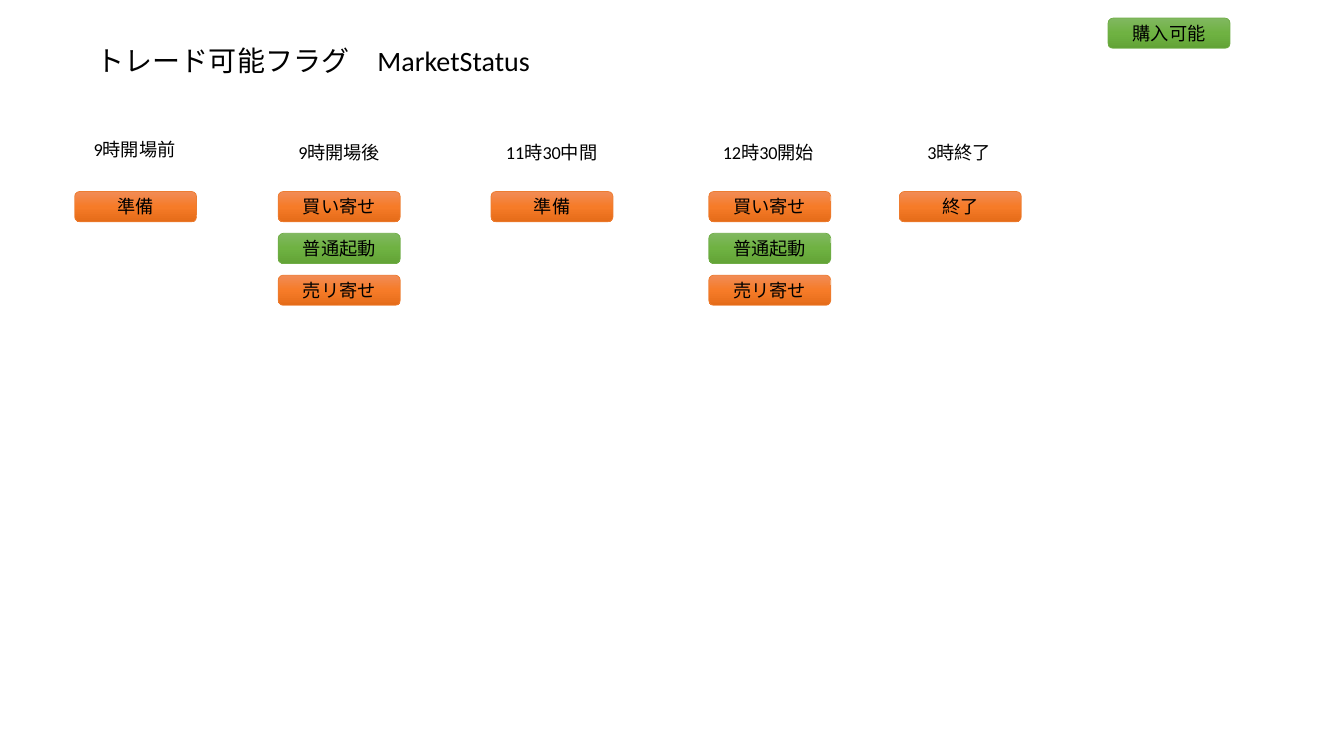
from dataclasses import dataclass

from lxml import etree
from pptx import Presentation, util as u
from pptx.dml.color import RGBColor
from pptx.enum import shapes, text
from pptx.oxml import ns


@dataclass(frozen=True)
class Tone:
    line: str
    stops: tuple


@dataclass(frozen=True)
class Theme:
    font: str = "Calibri"
    ink: str = "000000"
    title_size: int = 20
    body_size: int = 13
    blocked: Tone = Tone("ED7D31", ("F18C57", "F67B28", "E56C19"))
    tradable: Tone = Tone("70AD47", ("81B861", "6FB242", "62A336"))


THEME = Theme()
STATE_WIDTH, STATE_HEIGHT = 1.21, 0.3
STATES_TOP, STATE_STEP = 1.9, 0.415
TRADABLE_STATES = ("普通起動", "購入可能")
SESSION_STATES = ("買い寄せ", "普通起動", "売リ寄せ")

# Label, label left, label top, label width, states left, states
PHASES = (
    ("9時開場前", 0.83, 1.32, 1.02, 0.74, ("準備",)),
    ("9時開場後", 2.86, 1.35, 1.02, 2.76, SESSION_STATES),
    ("11時30中間", 4.92, 1.35, 1.12, 4.87, ("準備",)),
    ("12時30開始", 7.07, 1.35, 1.12, 7.03, SESSION_STATES),
    ("3時終了", 9.1, 1.35, 0.84, 8.92, ("終了",)),
)


def add_run(paragraph, words, size):
    run = paragraph.add_run()
    run.text = words
    run.font.name = THEME.font
    run.font.size = u.Pt(size)
    run.font.color.rgb = RGBColor.from_string(THEME.ink)


def fill_gradient(shape, colours):
    """Fill from top to bottom with evenly spaced colour stops."""
    shape.fill.gradient()
    gradient = shape.fill._xPr.find(ns.qn("a:gradFill"))
    stops = gradient.find(ns.qn("a:gsLst"))
    for stop in list(stops):
        stops.remove(stop)
    for i, colour in enumerate(colours):
        position = 100000 * i // (len(colours) - 1)
        stop = etree.SubElement(stops, ns.qn("a:gs"), pos=str(position))
        etree.SubElement(stop, ns.qn("a:srgbClr"), val=colour)
    gradient.find(ns.qn("a:lin")).set("ang", "5400000")


def add_title(slide, words):
    title = slide.shapes.title
    title.left, title.top = u.Inches(0.86), u.Inches(0.23)
    title.width, title.height = u.Inches(11.5), u.Inches(0.78)
    title.text_frame.vertical_anchor = text.MSO_ANCHOR.MIDDLE
    paragraph = title.text_frame.paragraphs[0]
    paragraph.alignment = text.PP_ALIGN.LEFT
    paragraph.line_spacing = 0.9
    add_run(paragraph, words, THEME.title_size)


def add_phase_label(slide, words, left, top, width):
    label = slide.shapes.add_textbox(
        u.Inches(left), u.Inches(top), u.Inches(width), u.Inches(0.32))
    label.text_frame.word_wrap = True
    label.text_frame.auto_size = text.MSO_AUTO_SIZE.SHAPE_TO_FIT_TEXT
    add_run(label.text_frame.paragraphs[0], words, THEME.body_size)


def add_state(slide, words, left, top):
    tone = THEME.tradable if words in TRADABLE_STATES else THEME.blocked
    state = slide.shapes.add_shape(
        shapes.MSO_SHAPE.ROUNDED_RECTANGLE, u.Inches(left), u.Inches(top),
        u.Inches(STATE_WIDTH), u.Inches(STATE_HEIGHT))
    state.shadow.inherit = False
    fill_gradient(state, tone.stops)
    state.line.color.rgb = RGBColor.from_string(tone.line)
    state.line.width = u.Pt(0.5)
    state.text_frame.vertical_anchor = text.MSO_ANCHOR.MIDDLE
    paragraph = state.text_frame.paragraphs[0]
    paragraph.alignment = text.PP_ALIGN.CENTER
    add_run(paragraph, words, THEME.body_size)


def main():
    deck = Presentation()
    deck.slide_width, deck.slide_height = u.Inches(13.33), u.Inches(7.5)
    slide = deck.slides.add_slide(deck.slide_layouts[5])
    add_title(slide, "トレード可能フラグ\u3000MarketStatus".replace("\u3000", "　"))
    for label, label_left, label_top, label_width, left, states in PHASES:
        add_phase_label(slide, label, label_left, label_top, label_width)
        for row, state in enumerate(states):
            add_state(slide, state, left, STATES_TOP + row * STATE_STEP)
    add_state(slide, "購入可能", 10.99, 0.18)
    deck.save("out.pptx")


if __name__ == "__main__":
    main()
